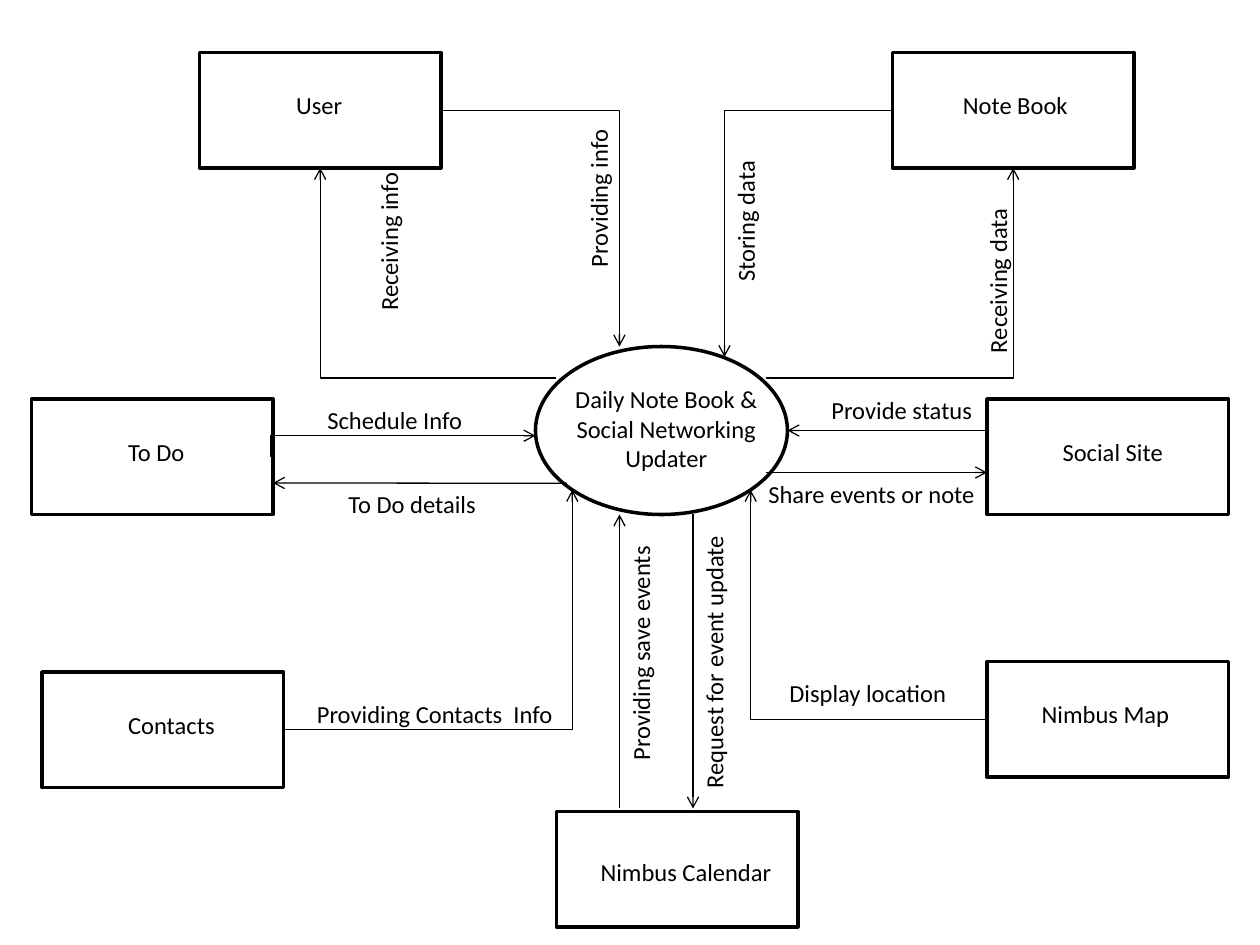
import pptx
import pptx.dml.color
import pptx.enum.shapes
import pptx.enum.text
import pptx.oxml
import pptx.oxml.ns
import pptx.util
from dataclasses import dataclass

Pt = pptx.util.Pt
SHAPES = pptx.enum.shapes.MSO_SHAPE
LINES = pptx.enum.shapes.MSO_CONNECTOR
ALIGN = pptx.enum.text.PP_ALIGN


@dataclass(frozen=True)
class Theme:
    """Colours, type and line sizes of the slide."""
    ink: pptx.dml.color.RGBColor = pptx.dml.color.RGBColor(0, 0, 0)
    font: str = "Calibri"
    size: int = 14
    outline: float = 2
    arrow: float = 0.75
    line_height: float = 24.2


THEME = Theme()
ENTITY_SIZE = (138, 66)

# name, left, top, text offset within the box
ENTITIES = [
    ("User", 114, 30, 48, 18),
    ("Note Book", 510, 30, 33, 18),
    ("To Do", 18, 228, 48, 18),
    ("Social Site", 564, 228, 36, 18),
    ("Contacts", 24, 384, 42, 18),
    ("Nimbus Map", 564, 378, 24, 18),
    ("Nimbus Calendar", 318, 463.7, 18, 22.3),
]

# start, end; an elbow runs level first, then upright
STRAIGHT_FLOWS = [
    ((396, 294), (396, 462)),
    ((354, 462), (354, 294)),
    ((324, 276.2), (156, 276)),
    ((564, 246), (450, 246)),
    ((438, 270), (564, 270)),
]
ELBOW_FLOWS = [
    ((510, 63), (414, 204)),
    ((438, 216), (579, 96)),
    ((252, 63), (354, 198)),
    ((318, 216), (183, 96)),
    ((564, 411), (429, 280)),
    ((162, 417), (327, 280)),
]
SCHEDULE_FLOW = ((156, 261), (306, 249))

# text, left, top, length
LEVEL_LABELS = [
    ("Schedule Info", 180, 228, 92),
    ("To Do details", 192, 276, 88),
    ("Providing Contacts  Info", 174, 396, 150.5),
    ("Display location", 444, 384, 105),
    ("Share events or note", 432, 270, 133.5),
    ("Provide status", 468, 222, 95.5),
]
# text, left, bottom, length; read upwards
UPRIGHT_LABELS = [
    ("Request for event update", 395.8, 457.5, 160),
    ("Providing save events", 354, 441.7, 138.5),
    ("Providing info", 329.9, 159.8, 93.6),
    ("Receiving info", 210, 184.7, 94.3),
    ("Receiving data", 558, 208.8, 97.5),
    ("Storing data", 413.8, 168.1, 84.2),
]


def write(paragraph, text, align=ALIGN.LEFT):
    """Add one run in the theme's type."""
    paragraph.alignment = align
    run = paragraph.add_run()
    run.text = text
    run.font.name = THEME.font
    run.font.size = Pt(THEME.size)
    run.font.color.rgb = THEME.ink


def outlined(slide, kind, box):
    """Draw an unfilled shape with the heavy outline."""
    shape = slide.shapes.add_shape(kind, *map(Pt, box))
    shape.shadow.inherit = False
    shape.fill.background()
    shape.line.color.rgb = THEME.ink
    shape.line.width = Pt(THEME.outline)
    return shape


def entity(slide, box, name, indent, drop):
    """Place a named external entity in its box."""
    frame = outlined(slide, SHAPES.RECTANGLE, box).text_frame
    frame.vertical_anchor = pptx.enum.text.MSO_ANCHOR.TOP
    frame.margin_left, frame.margin_top = Pt(indent + 7.2), Pt(drop + 3.6)
    frame.margin_right = 0
    write(frame.paragraphs[0], name)


def hub(slide, box, title):
    """Place the central process and its title."""
    left, top, width, height = box
    outlined(slide, SHAPES.OVAL, box)
    title_box = (left + 12, top + 18, width - 18.5, height - 38)
    frame = slide.shapes.add_textbox(*map(Pt, title_box)).text_frame
    frame.word_wrap = True
    write(frame.paragraphs[0], title, ALIGN.CENTER)


def flow(slide, start, end, preset="line", bend=None):
    """Draw an arrow from start to end with the given connector preset."""
    kind = LINES.STRAIGHT if preset == "line" else LINES.ELBOW
    arrow = slide.shapes.add_connector(kind, *map(Pt, start + end))
    arrow.line.color.rgb = THEME.ink
    arrow.line.width = Pt(THEME.arrow)
    qn = pptx.oxml.ns.qn
    properties = arrow._element.spPr
    geometry = properties.find(qn("a:prstGeom"))
    geometry.set("prst", preset)
    if bend is not None:
        guide = geometry.find(qn("a:avLst")).makeelement(qn("a:gd"), {"name": "adj1", "fmla": f"val {bend}"})
        geometry.find(qn("a:avLst")).append(guide)
    outline = properties.find(qn("a:ln"))
    outline.append(outline.makeelement(qn("a:tailEnd"), {"type": "arrow"}))
    properties.append(properties.makeelement(qn("a:effectLst"), {}))


def label(slide, box, text, rotation=0):
    """Place a one-line flow label in its box."""
    caption = slide.shapes.add_textbox(*map(Pt, box))
    caption.rotation = rotation
    caption.text_frame.word_wrap = False
    write(caption.text_frame.paragraphs[0], text)


def context_diagram(slide):
    """Place the hub, its entities, and the labelled flows between them."""
    hub(slide, (306, 198, 144, 96), "Daily Note Book & Social Networking Updater")
    for name, left, top, indent, drop in ENTITIES:
        entity(slide, (left, top, *ENTITY_SIZE), name, indent, drop)
    for start, end in STRAIGHT_FLOWS:
        flow(slide, start, end)
    for start, end in ELBOW_FLOWS:
        flow(slide, start, end, "bentConnector2")
    flow(slide, *SCHEDULE_FLOW, "bentConnector3", bend=-900)
    height = THEME.line_height
    for text, left, top, length in LEVEL_LABELS:
        label(slide, (left, top, length, height), text)
    for text, left, bottom, length in UPRIGHT_LABELS:
        box = (left + (height - length) / 2, bottom - (length + height) / 2, length, height)
        label(slide, box, text, 270)


def main():
    """Build and save the slide."""
    deck = pptx.Presentation()
    deck.slide_width, deck.slide_height = Pt(720), Pt(540)
    context_diagram(deck.slides.add_slide(deck.slide_layouts[6]))
    deck.save("out.pptx")


main()
